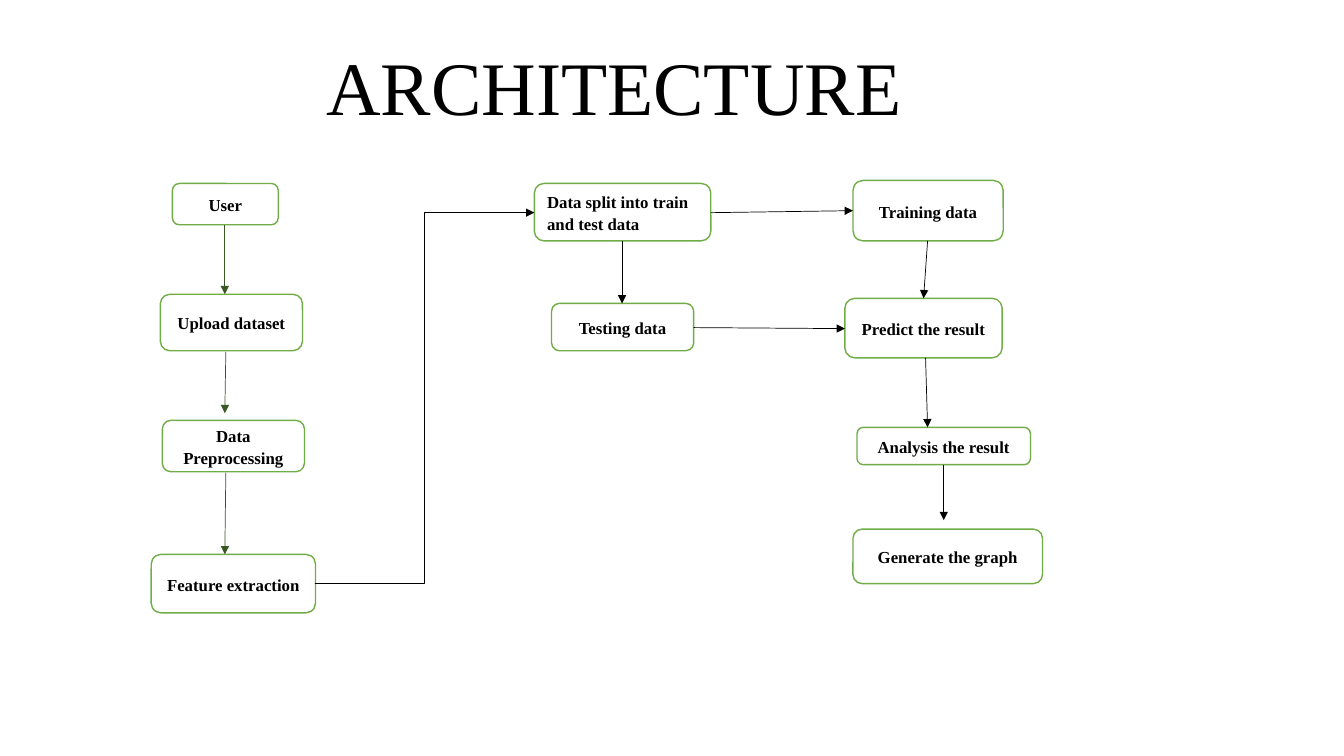
from lxml.etree import SubElement
from pptx import Presentation
from pptx.dml.color import RGBColor
from pptx.enum.shapes import MSO_CONNECTOR, MSO_SHAPE
from pptx.enum.text import MSO_ANCHOR, PP_ALIGN
from pptx.oxml.ns import qn
from pptx.util import Inches, Pt

BLACK = RGBColor(0x00, 0x00, 0x00)
WHITE = RGBColor(0xFF, 0xFF, 0xFF)
GREEN = RGBColor(0x70, 0xAD, 0x47)
DARK_GREEN = RGBColor(0x38, 0x57, 0x23)

STEPS = [
    ("User", 1.71, 1.82, 1.05, 0.41),
    ("Upload dataset", 1.59, 2.92, 1.41, 0.56),
    ("Data Preprocessing", 1.61, 4.17, 1.41, 0.51),
    ("Feature extraction", 1.5, 5.5, 1.63, 0.58),
    ("Testing data", 5.47, 3.01, 1.41, 0.47),
    ("Training data", 8.46, 1.79, 1.49, 0.6),
    ("Predict the result", 8.38, 2.96, 1.56, 0.59),
    ("Analysis the result", 8.5, 4.24, 1.72, 0.37),
    ("Generate the graph", 8.46, 5.25, 1.88, 0.54),
]

PREPARATION_ARROWS = [
    ((2.23, 2.23), (2.23, 2.92)),
    ((2.24, 3.49), (2.23, 4.1)),
    ((2.24, 4.69), (2.23, 5.5)),
]

MODEL_ARROWS = [
    ((7.05, 2.11), (8.46, 2.09)),
    ((6.17, 2.39), (6.17, 3.01)),
    ((6.88, 3.25), (8.38, 3.26)),
    ((9.2, 2.39), (9.16, 2.96)),
    ((9.36, 4.61), (9.36, 5.16)),
    ((9.18, 3.55), (9.2, 4.24)),
]


class FlowSlide:
    font_name = "Times New Roman"

    def __init__(self, slide):
        self.slide = slide

    def set_text(self, paragraph, text, size, bold, alignment):
        paragraph.text = text
        paragraph.alignment = alignment
        paragraph.font.name = self.font_name
        paragraph.font.size = Pt(size)
        paragraph.font.bold = bold
        paragraph.font.color.rgb = BLACK

    def title(self, text, left, top, width, height):
        box = self.slide.shapes.add_textbox(
            Inches(left), Inches(top), Inches(width), Inches(height))
        box.text_frame.word_wrap = True
        self.set_text(box.text_frame.paragraphs[0], text, 54, False, PP_ALIGN.CENTER)

    def step(self, text, left, top, width, height, alignment=PP_ALIGN.CENTER):
        shape = self.slide.shapes.add_shape(
            MSO_SHAPE.ROUNDED_RECTANGLE,
            Inches(left), Inches(top), Inches(width), Inches(height))
        shape.shadow.inherit = False
        shape.fill.solid()
        shape.fill.fore_color.rgb = WHITE
        shape.line.color.rgb = GREEN
        shape.line.width = Pt(1)
        frame = shape.text_frame
        frame.word_wrap = True
        frame.vertical_anchor = MSO_ANCHOR.MIDDLE
        paragraph = frame.paragraphs[0]
        self.set_text(paragraph, text, 12, True, alignment)
        paragraph.line_spacing = 1.07
        paragraph.space_after = Pt(8)

    def arrow(self, start, end, color=BLACK, kind=MSO_CONNECTOR.STRAIGHT):
        connector = self.slide.shapes.add_connector(
            kind, *(Inches(value) for value in start + end))
        connector.line.color.rgb = color
        connector.line.width = Pt(0.5)
        properties = connector.element.spPr
        SubElement(properties.find(qn("a:ln")), qn("a:tailEnd"), type="triangle")
        SubElement(properties, qn("a:effectLst"))


def main():
    presentation = Presentation()
    presentation.slide_width = Inches(13.33)
    presentation.slide_height = Inches(7.5)
    flow = FlowSlide(presentation.slides.add_slide(presentation.slide_layouts[6]))

    flow.title("ARCHITECTURE", 2.46, 0.35, 7.26, 1.01)
    for step in STEPS:
        flow.step(*step)
    flow.step("Data split into train and test data", 5.3, 1.82, 1.75, 0.57, PP_ALIGN.LEFT)

    for start, end in PREPARATION_ARROWS:
        flow.arrow(start, end, DARK_GREEN)
    for start, end in MODEL_ARROWS:
        flow.arrow(start, end)
    flow.arrow((3.12, 5.79), (5.3, 2.11), kind=MSO_CONNECTOR.ELBOW)

    presentation.save("out.pptx")


if __name__ == "__main__":
    main()
